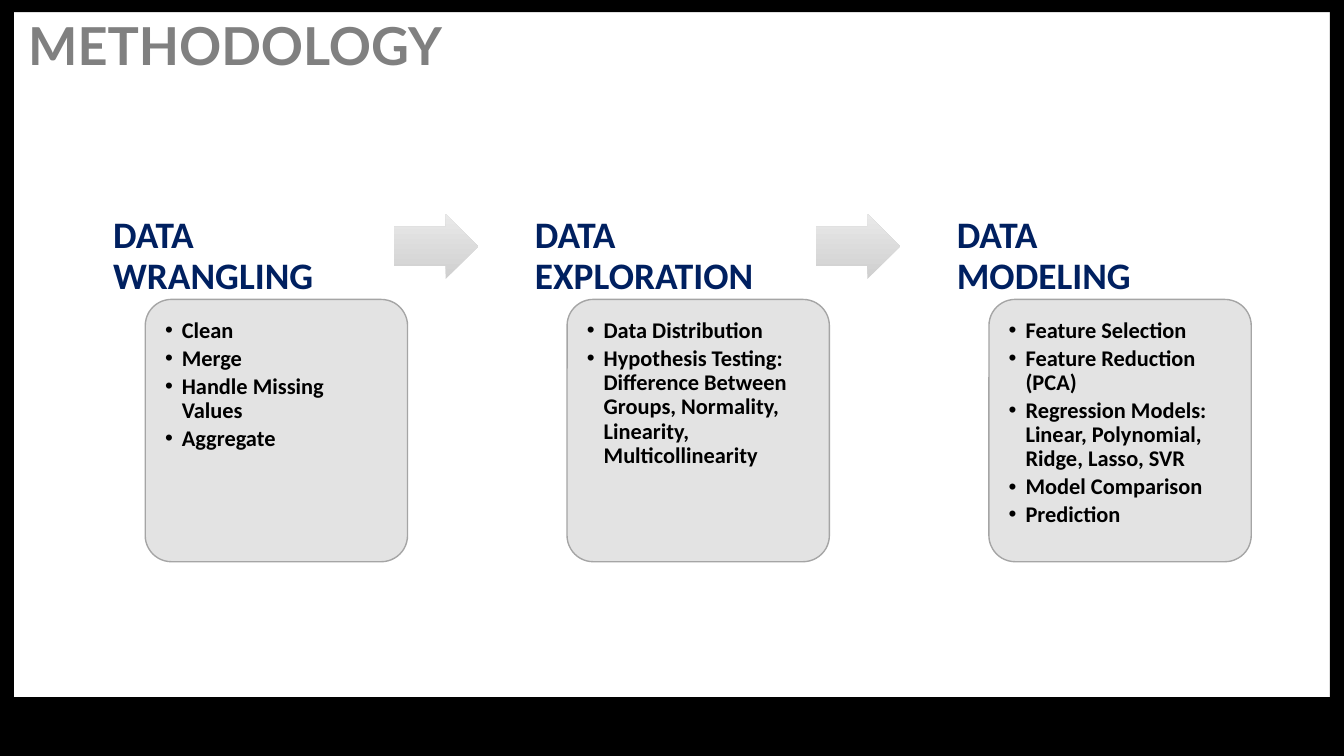
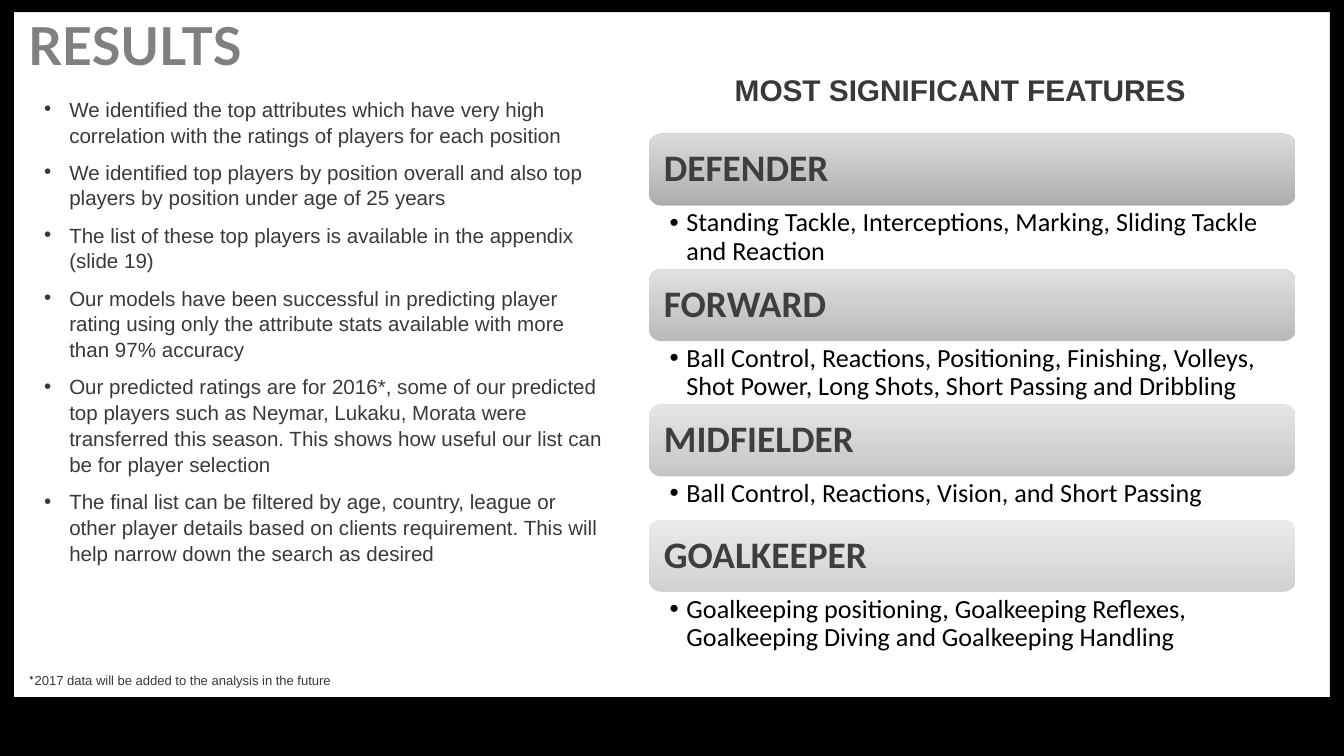
from dataclasses import dataclass

from pptx import Presentation
from pptx.dml.color import RGBColor
from pptx.enum.shapes import MSO_SHAPE
from pptx.enum.text import MSO_ANCHOR, MSO_AUTO_SIZE, PP_ALIGN
from pptx.oxml.ns import qn
from pptx.oxml.xmlchemy import OxmlElement
from pptx.shapes.autoshape import Shape
from pptx.slide import Slide
from pptx.util import Pt

RECTANGLE = MSO_SHAPE.RECTANGLE
ROUNDED = MSO_SHAPE.ROUNDED_RECTANGLE
RIGHT_ARROW = MSO_SHAPE.RIGHT_ARROW
TOP, MIDDLE = MSO_ANCHOR.TOP, MSO_ANCHOR.MIDDLE
NO_AUTO_SIZE = MSO_AUTO_SIZE.NONE
LEFT = PP_ALIGN.LEFT

BLACK, WHITE, GREY = "000000", "FFFFFF", "808080"
NAVY, CHARCOAL, BODY_GREY = "002060", "3E3E3E", "3B3838"
PANEL_FILL, PANEL_LINE = "E1E1E1", "A5A5A5"
ARROW_GRADIENT = ("CFCFCF", "E9E9E9")
BAR_GRADIENT = ("A5A5A5", "D8D8D8")

WIDTH, HEIGHT = 720, 405
TOP_BAND, SIDE_BAND, BOTTOM_BAND = 6.5, 7.5, 31.5


@dataclass(frozen=True)
class Box:
    left: float
    top: float
    width: float
    height: float

    def lengths(self) -> tuple:
        return Pt(self.left), Pt(self.top), Pt(self.width), Pt(self.height)


@dataclass(frozen=True)
class TextStyle:
    font: str
    size: float
    color: str
    bold: bool = False
    line_spacing: float = 1.0
    before: float = 0
    after: float = 0
    indent: float = 0
    level: int = 0


@dataclass(frozen=True)
class Stage:
    heading: str
    steps: tuple


@dataclass(frozen=True)
class Position:
    name: str
    features: str
    height: float


TITLE = TextStyle("Lato", 28, GREY, True, 0.9)
STAGE_HEADING = TextStyle("Calibri", 20, NAVY, True, 0.9)
STAGE_STEP = TextStyle("Calibri", 12, BLACK, True, 0.9, after=2, indent=9, level=1)
BAR_NAME = TextStyle("Calibri", 20, CHARCOAL, True, 0.9)
BAR_FEATURES = TextStyle("Calibri", 14, BLACK, False, 0.9, indent=9, level=1)
FINDING = TextStyle("Arial", 11, BODY_GREY, line_spacing=1.05, before=6, indent=13.5)
SUBTITLE = TextStyle("Arial", 16, BODY_GREY, True)
FOOTNOTE = TextStyle("Arial", 7, BODY_GREY)
FOOTNOTE_MARK = TextStyle("Calibri", 7, BLACK)

STAGES = (
    Stage("DATA WRANGLING", ("Clean", "Merge", "Handle Missing Values", "Aggregate")),
    Stage("DATA EXPLORATION", (
        "Data Distribution",
        "Hypothesis Testing: Difference Between Groups, Normality, Linearity, Multicollinearity",
    )),
    Stage("DATA MODELING", (
        "Feature Selection",
        "Feature Reduction (PCA)",
        "Regression Models: Linear, Polynomial, Ridge, Lasso, SVR",
        "Model Comparison",
        "Prediction",
    )),
)

FINDINGS = (
    "We identified the top attributes which have very high correlation with the ratings "
    "of players for each position",
    "We identified top players by position overall and also top players by position under "
    "age of 25 years",
    "The list of these top players is available in the appendix (slide 19)",
    "Our models have been successful in predicting player rating using only the attribute "
    "stats available with more than 97% accuracy",
    "Our predicted ratings are for 2016*, some of our predicted top players such as Neymar, "
    "Lukaku, Morata were transferred this season. This shows how useful our list can be for "
    "player selection",
    "The final list can be filtered by age, country, league or other player details based on "
    "clients requirement. This will help narrow down the search as desired",
)

POSITIONS = (
    Position("DEFENDER", "Standing Tackle, Interceptions, Marking, Sliding Tackle and Reaction",
             34.15),
    Position("FORWARD", "Ball Control, Reactions, Positioning, Finishing, Volleys, Shot Power, "
             "Long Shots, Short Passing and Dribbling", 34.15),
    Position("MIDFIELDER", "Ball Control, Reactions, Vision, and Short Passing", 23.4),
    Position("GOALKEEPER", "Goalkeeping positioning, Goalkeeping Reflexes, Goalkeeping Diving "
             "and Goalkeeping Handling", 34.15),
)


def rgb(color: str) -> RGBColor:
    return RGBColor.from_string(color)


# Text
def format_run(run, style: TextStyle) -> None:
    font = run.font
    font.name, font.size, font.bold = style.font, Pt(style.size), style.bold
    font.color.rgb = rgb(style.color)


def set_bullet(para, indent: float) -> None:
    properties = para._p.get_or_add_pPr()
    properties.set("marL", str(Pt(indent)))
    properties.set("indent", str(-Pt(indent)))
    bullet_font = OxmlElement("a:buFont")
    bullet_font.set("typeface", "Arial")
    bullet = OxmlElement("a:buChar")
    bullet.set("char", "•")
    properties.extend((bullet_font, bullet))


def write(shape: Shape, lines: tuple, style: TextStyle, insets: tuple = (3.6,) * 4,
          anchor=TOP) -> None:
    frame = shape.text_frame
    frame.text = "\n".join(lines)
    frame.word_wrap = True
    frame.auto_size = NO_AUTO_SIZE
    frame.vertical_anchor = anchor
    (frame.margin_left, frame.margin_top,
     frame.margin_right, frame.margin_bottom) = map(Pt, insets)
    for para in frame.paragraphs:
        para.alignment = LEFT
        para.level = style.level
        para.line_spacing = style.line_spacing
        para.space_before, para.space_after = Pt(style.before), Pt(style.after)
        if style.indent:
            set_bullet(para, style.indent)
        for run in para.runs:
            format_run(run, style)


def add_text(slide: Slide, box: Box, lines: tuple, style: TextStyle,
             insets: tuple = (3.6,) * 4) -> Shape:
    shape = slide.shapes.add_textbox(*box.lengths())
    write(shape, lines, style, insets)
    return shape


def place(placeholder: Shape, box: Box) -> None:
    (placeholder.left, placeholder.top,
     placeholder.width, placeholder.height) = box.lengths()


# Shapes
def add_filled(slide: Slide, kind, box: Box, colors: tuple, opacity: int = 100,
               adjustments: tuple = ()) -> Shape:
    """One colour gives a solid fill, two give a gradient from bottom to top."""
    shape = slide.shapes.add_shape(kind, *box.lengths())
    shape.shadow.inherit = False
    for index, value in enumerate(adjustments):
        shape.adjustments[index] = value
    if len(colors) == 1:
        shape.fill.solid()
        shape.fill.fore_color.rgb = rgb(colors[0])
    else:
        shape.fill.gradient()
        shape.fill.gradient_angle = 90
        for stop, color in zip(shape.fill.gradient_stops, colors):
            stop.color.rgb = rgb(color)
    if opacity < 100:
        for color_element in shape.element.spPr.iter(qn("a:srgbClr")):
            alpha = OxmlElement("a:alpha")
            alpha.set("val", str(opacity * 1000))
            color_element.append(alpha)
    shape.line.fill.background()
    return shape


# Shared frame, moved to the slide master
def add_frame(deck, slide: Slide) -> None:
    inner = HEIGHT - TOP_BAND - BOTTOM_BAND
    bands = (
        Box(0, HEIGHT - BOTTOM_BAND, WIDTH, BOTTOM_BAND),
        Box(0, TOP_BAND, SIDE_BAND, inner),
        Box(0, 0, WIDTH, TOP_BAND),
        Box(WIDTH - SIDE_BAND, TOP_BAND, SIDE_BAND, inner),
    )
    master_tree = deck.slide_master.shapes[0].element.getparent()
    for number, box in enumerate(bands, start=101):
        element = add_filled(slide, RECTANGLE, box, (BLACK,)).element
        element.nvSpPr.cNvPr.set("id", str(number))
        master_tree.append(element)


def add_slide(deck, layout: int, title: str) -> Slide:
    slide = deck.slides.add_slide(deck.slide_layouts[layout])
    place(slide.shapes.title, Box(11.5, 7.2, 648, 38))
    write(slide.shapes.title, (title,), TITLE, anchor=MIDDLE)
    return slide


# Methodology: three stages joined by arrows
def build_methodology(slide: Slide) -> None:
    card, pitch = 140.5, 226
    for index, stage in enumerate(STAGES):
        left = 49 + index * pitch
        heading = add_filled(slide, ROUNDED, Box(left, 104.4, card, 105), (WHITE,),
                             adjustments=(0.1,))
        write(heading, (stage.heading,), STAGE_HEADING, (8.5, 8.5, 8.5, 3))
        panel = add_filled(slide, ROUNDED, Box(left + 28.8, 160.4, card, card),
                           (PANEL_FILL,), 90, (0.1,))
        panel.line.color.rgb = rgb(PANEL_LINE)
        panel.line.width = Pt(0.75)
        write(panel, stage.steps, STAGE_STEP, (6.5,) * 4)
        if index < len(STAGES) - 1:
            add_filled(slide, RIGHT_ARROW, Box(left + 162, 114.5, 45.2, 35),
                       ARROW_GRADIENT, adjustments=(0.6, 0.5))


# Results: findings on the left, features by position on the right
def build_results(slide: Slide) -> None:
    body = slide.placeholders[1]
    place(body, Box(20, 47.5, 309, 307.5))
    write(body, FINDINGS, FINDING)
    add_text(slide, Box(390, 34.6, 269.5, 26.5), ("MOST SIGNIFICANT FEATURES",), SUBTITLE)

    left, top, width, bar_height = 347.75, 71.75, 346.3, 38.4
    for index, position in enumerate(POSITIONS):
        opacity = round(90 - index * 40 / 3)
        bar = add_filled(slide, ROUNDED, Box(left, top, width, bar_height),
                         BAR_GRADIENT, opacity)
        write(bar, (position.name,), BAR_NAME, (6,) * 4, MIDDLE)
        top += bar_height
        add_text(slide, Box(left, top, width, position.height), (position.features,),
                 BAR_FEATURES, (11, 2, 10, 2))
        top += position.height

    note = add_text(slide, Box(11.5, 357, 188, 16), ("*",), FOOTNOTE_MARK)
    span = note.text_frame.paragraphs[0].add_run()
    span.text = "2017 data will be added to the analysis in the future"
    format_run(span, FOOTNOTE)


def main() -> None:
    deck = Presentation()
    deck.slide_width, deck.slide_height = Pt(WIDTH), Pt(HEIGHT)
    methodology = add_slide(deck, 5, "METHODOLOGY")
    add_frame(deck, methodology)
    build_methodology(methodology)
    build_results(add_slide(deck, 1, "RESULTS"))
    deck.save("out.pptx")


if __name__ == "__main__":
    main()
